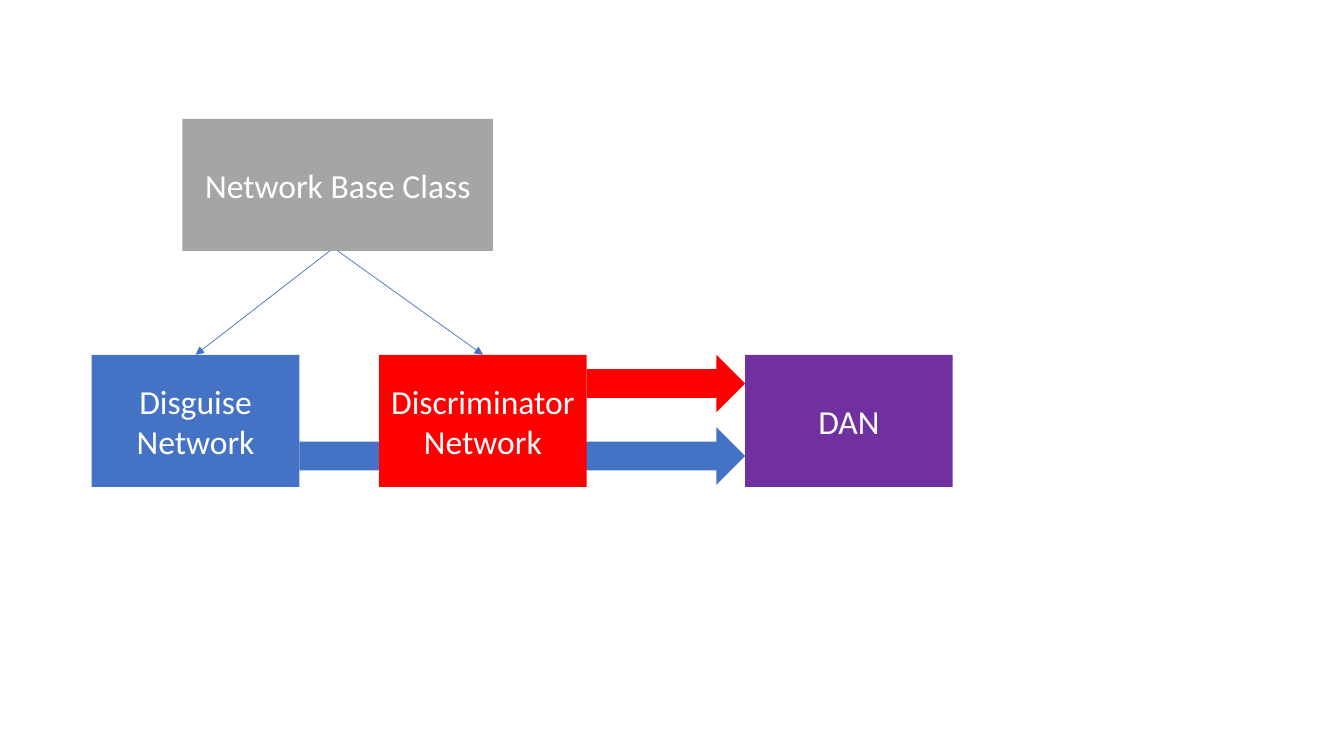
from dataclasses import dataclass

from lxml import etree
from pptx import Presentation
from pptx import util as u
from pptx.dml.color import RGBColor
from pptx.enum import shapes, text
from pptx.oxml.ns import qn


@dataclass(frozen=True)
class Theme:
    base: str = "A5A5A5"
    disguise: str = "4472C4"
    discriminator: str = "FF0000"
    dan: str = "7030A0"
    label: str = "FFFFFF"
    font: str = "Calibri"
    label_size: int = 24
    line_width: float = 0.5


class Diagram:
    def __init__(self, slide, theme):
        self.slide = slide
        self.theme = theme

    def filled(self, kind, left, top, width, height, color):
        figure = self.slide.shapes.add_shape(
            kind, u.Inches(left), u.Inches(top), u.Inches(width), u.Inches(height))
        figure.shadow.inherit = False
        figure.fill.solid()
        figure.fill.fore_color.rgb = RGBColor.from_string(color)
        figure.line.fill.background()
        return figure

    def box(self, label, left, top, width, height, color):
        figure = self.filled(shapes.MSO_SHAPE.RECTANGLE, left, top, width, height, color)
        frame = figure.text_frame
        frame.text = label
        frame.word_wrap = True
        frame.vertical_anchor = text.MSO_ANCHOR.MIDDLE
        paragraph = frame.paragraphs[0]
        paragraph.alignment = text.PP_ALIGN.CENTER
        font = paragraph.runs[0].font
        font.name = self.theme.font
        font.size = u.Pt(self.theme.label_size)
        font.color.rgb = RGBColor.from_string(self.theme.label)

    def block_arrow(self, left, top, width, height, color):
        self.filled(shapes.MSO_SHAPE.RIGHT_ARROW, left, top, width, height, color)

    def inheritance(self, start_x, start_y, end_x, end_y):
        link = self.slide.shapes.add_connector(
            shapes.MSO_CONNECTOR.STRAIGHT,
            u.Inches(start_x), u.Inches(start_y), u.Inches(end_x), u.Inches(end_y))
        link.line.color.rgb = RGBColor.from_string(self.theme.disguise)
        link.line.width = u.Pt(self.theme.line_width)
        properties = link._element.spPr
        etree.SubElement(properties.find(qn("a:ln")), qn("a:tailEnd"), type="triangle")
        etree.SubElement(properties, qn("a:effectLst"))


presentation = Presentation()
presentation.slide_width = u.Inches(13.33)
presentation.slide_height = u.Inches(7.5)
theme = Theme()
diagram = Diagram(presentation.slides.add_slide(presentation.slide_layouts[6]), theme)

box_width, box_height = 2.06, 1.31
base_top, network_top = 1.18, 3.52
base_bottom = base_top + box_height
disguise_left, discriminator_left, dan_left = 0.91, 3.76, 7.39
arrow_height = 0.57

disguise_right = disguise_left + box_width
discriminator_right = discriminator_left + box_width

diagram.block_arrow(disguise_right, 4.24, dan_left - disguise_right,
                    arrow_height, theme.disguise)
diagram.box("Network Base Class", 1.81, base_top, 3.08, box_height, theme.base)

networks = [
    ("Disguise Network", disguise_left, theme.disguise, 3.27),
    ("Discriminator Network", discriminator_left, theme.discriminator, 3.35),
]
for name, left, color, link_start in networks:
    diagram.box(name, left, network_top, box_width, box_height, color)
    diagram.inheritance(link_start, base_bottom, left + box_width / 2, network_top)

diagram.block_arrow(discriminator_right, network_top, dan_left - discriminator_right,
                    arrow_height, theme.discriminator)
diagram.box("DAN", dan_left, network_top, box_width, box_height, theme.dan)

presentation.save("out.pptx")
